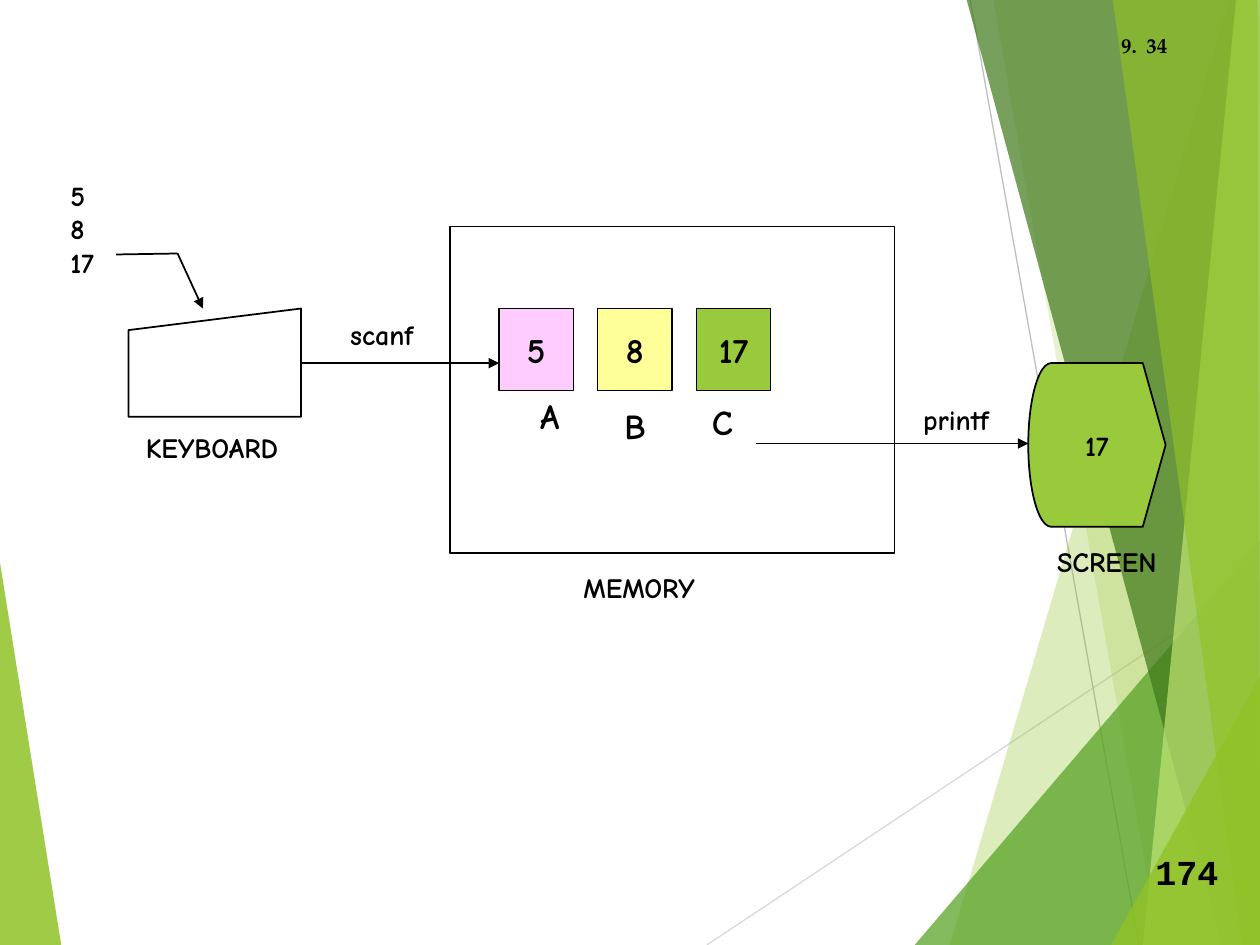
from lxml import etree
from pptx import Presentation
from pptx import util as u
from pptx.dml import color
from pptx.enum import shapes, text
from pptx.oxml import ns

COLORS = {
    "black": "000000", "leaf": "90C226", "forest": "54A021", "pine": "3F7819",
    "lime": "C0E474", "pale line": "D9D9D9", "gray line": "BFBFBF",
    "pink": "FFCCFF", "yellow": "FFFF99", "green": "99CA3C",
}
HAND, SERIF, MONO = "Comic Neue", "TeX Gyre Pagella", "Courier New"
KIND = shapes.MSO_SHAPE

# Backdrop wedges: colour, opacity in percent, corners in cm
WEDGES = [
    ("leaf", 85, [(-0.03, 11.15), (1.24, 19.08), (-0.03, 19.05)]),
    ("leaf", 30, [(24.77, 0), (19.15, 19.05), (25.45, 19.08), (25.43, 0.03)]),
    ("leaf", 20, [(20.02, -0.03), (23.37, 19.05), (25.43, 19.05), (25.43, -0.03)]),
    ("forest", 72, [(18.44, 19.05), (25.4, 10.9), (25.43, 19.05)]),
    ("pine", 70, [(19.48, -0.03), (24.64, 19.05), (25.43, 19.02), (25.43, -0.03)]),
    ("lime", 70, [(24.92, -0.03), (23.04, 19.05), (25.43, 19.05), (25.4, -0.03)]),
    ("leaf", 65, [(22.43, -0.03), (25.04, 19.05), (25.4, 19.05), (25.35, -0.03)]),
    ("leaf", 80, [(22.4, 19.05), (25.43, 13.59), (25.43, 19.05)]),
]

# Captions: wording, left, top, width, height in cm
CAPTIONS = [
    ("KEYBOARD", 2.69, 8.56, 3.18, 0.94),
    ("SCREEN", 21.06, 10.85, 2.51, 0.94),
    ("scanf", 6.81, 6.27, 1.78, 0.94),
    ("MEMORY", 11.51, 11.38, 2.77, 0.94),
    ("printf", 18.36, 8, 1.83, 0.94),
    ("5\n8\n17", 1.17, 3.47, 1.15, 2.97),
]

# Variables: value, fill, name, left and top of the name
VARIABLES = [
    ("5", "pink", "A", 10.64, 7.82),
    ("8", "yellow", "B", 12.34, 8.03),
    ("17", "green", "C", 14.1, 7.95),
]


def rgb(name):
    return color.RGBColor.from_string(COLORS[name])


def write(frame, wording, size, font=HAND, align=text.PP_ALIGN.LEFT):
    frame.text = wording
    for para in frame.paragraphs:
        para.alignment = align
        for span in para.runs:
            span.font.name = font
            span.font.size = u.Pt(size)
            span.font.bold = True
            span.font.color.rgb = rgb("black")


def add_wedge(page, fill, opacity, corners):
    points = [(u.Cm(x), u.Cm(y)) for x, y in corners]
    builder = page.shapes.build_freeform(*points[0])
    builder.add_line_segments(points[1:], close=True)
    wedge = builder.convert_to_shape()
    wedge.shadow.inherit = False
    wedge.line.fill.background()
    wedge.fill.solid()
    wedge.fill.fore_color.rgb = rgb(fill)
    tint = wedge.fill._xPr.find(".//" + ns.qn("a:srgbClr"))
    etree.SubElement(tint, ns.qn("a:alpha"), val=str(opacity * 1000))


def add_line(page, start, end, stroke="black", width=1, arrow=False):
    ends = [u.Cm(value) for value in (*start, *end)]
    line = page.shapes.add_connector(shapes.MSO_CONNECTOR.STRAIGHT, *ends)
    line.line.color.rgb = rgb(stroke)
    line.line.width = u.Pt(width)
    if arrow:
        outline = line.line._get_or_add_ln()
        etree.SubElement(outline, ns.qn("a:tailEnd"), type="triangle")
    etree.SubElement(line._element.spPr, ns.qn("a:effectLst"))


def add_figure(page, kind, place, width, fill=None, wording="", size=20):
    figure = page.shapes.add_shape(kind, *[u.Cm(value) for value in place])
    figure.shadow.inherit = False
    figure.line.color.rgb = rgb("black")
    figure.line.width = u.Pt(width)
    if fill:
        figure.fill.solid()
        figure.fill.fore_color.rgb = rgb(fill)
    else:
        figure.fill.background()
    if wording:
        frame = figure.text_frame
        frame.word_wrap = False
        frame.vertical_anchor = text.MSO_ANCHOR.MIDDLE
        write(frame, wording, size, align=text.PP_ALIGN.CENTER)
    return figure


def add_label(page, wording, place, size, font=HAND, wrap=False):
    box = page.shapes.add_textbox(*[u.Cm(value) for value in place])
    box.text_frame.word_wrap = wrap
    box.text_frame.auto_size = text.MSO_AUTO_SIZE.SHAPE_TO_FIT_TEXT
    write(box.text_frame, wording, size, font)


def draw_backdrop(page):
    add_wedge(page, *WEDGES[0])
    add_line(page, (14.25, 19.05), (25.43, 11.61), "pale line", 0.75)
    add_line(page, (19.56, 0), (22.96, 19.05), "gray line", 0.75)
    for wedge in WEDGES[1:]:
        add_wedge(page, *wedge)


def draw_devices(page):
    add_figure(page, KIND.RECTANGLE, (9.07, 4.57, 8.97, 6.58), 0.75)
    add_figure(page, KIND.FLOWCHART_MANUAL_INPUT, (2.59, 6.22, 3.48, 2.18), 1)
    screen = add_figure(page, KIND.FLOWCHART_DISPLAY, (20.73, 7.32, 2.77, 3.3),
                        1, "green", "17", 16)
    screen._element.spPr.xfrm.set("flipH", "1")


def draw_variables(page):
    for index, (value, fill, name, left, top) in enumerate(VARIABLES):
        cell = (10.06 + 1.99 * index, 6.22, 1.5, 1.65)
        add_figure(page, KIND.RECTANGLE, cell, 0.75, fill, value)
        add_label(page, name, (left, top, 0.92, 1.12), 20)


def draw_flow(page):
    # Typed values enter the keyboard, then memory, then the screen
    add_line(page, (2.34, 5.13), (3.58, 5.11))
    add_line(page, (3.58, 5.11), (4.09, 6.22), arrow=True)
    add_line(page, (6.07, 7.32), (10.06, 7.32), arrow=True)
    add_line(page, (15.24, 8.94), (20.73, 8.94), arrow=True)


def main():
    deck = Presentation()
    deck.slide_width, deck.slide_height = u.Cm(25.4), u.Cm(19.05)
    page = deck.slides.add_slide(deck.slide_layouts[6])

    draw_backdrop(page)
    draw_devices(page)
    draw_variables(page)
    draw_flow(page)
    for wording, *place in CAPTIONS:
        add_label(page, wording, place, 16)

    # Page numbers
    add_label(page, "34", (22.86, 0.53, 1.7, 0.84), 12, SERIF, wrap=True)
    add_label(page, "9.", (22.35, 0.53, 0.86, 0.76), 12, SERIF)
    add_label(page, "174", (23.04, 17.02, 1.78, 1.12), 20, MONO)

    deck.save("out.pptx")


if __name__ == "__main__":
    main()
